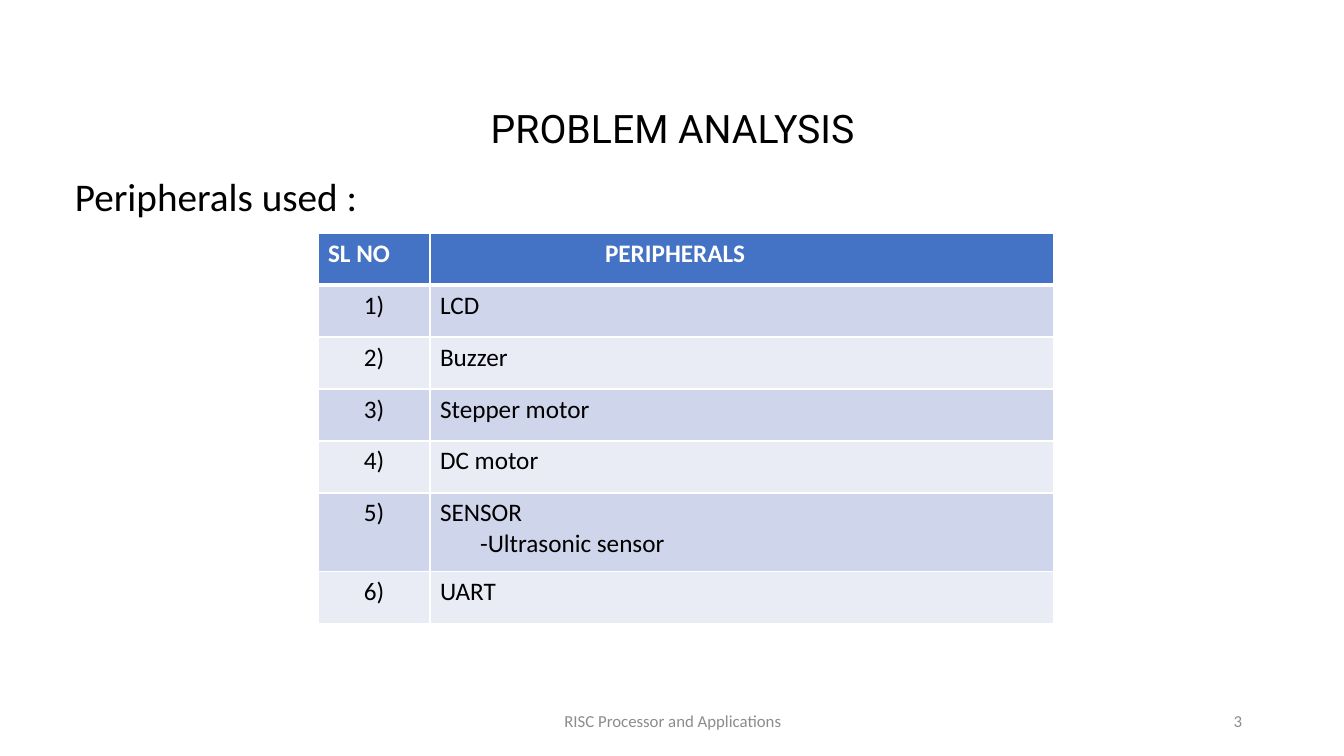
from lxml import etree
from pptx import Presentation
from pptx import util as u
from pptx.dml.color import RGBColor
from pptx.enum import text as t
from pptx.oxml.ns import qn

# Text, box (left, top, width, height) in px, format
TEXTS = [
    ("PROBLEM ANALYSIS", (93, 58, 1159, 146),
     dict(size=28, font="Roboto", line=0.9)),
    ("RISC Processor and Applications", (446, 701, 454, 40),
     dict(size=12, color="grey")),
    ("3", (950, 701, 302, 40), dict(size=12, color="grey", align="right")),
    ("Peripherals used :", (-21, 167, 474, 57), dict(size=28, anchor="top")),
]
HEADS = ("SL NO", "PERIPHERALS")
ITEMS = ["LCD", "Buzzer", "Stepper motor", "DC motor",
         ("SENSOR", "-Ultrasonic sensor"), "UART"]

COLORS = dict(black="000000", white="FFFFFF", grey="8C8C8C",
              head="4472C4", odd="CFD5EA", even="E9EBF5")
ALIGN = dict(left=t.PP_ALIGN.LEFT, center=t.PP_ALIGN.CENTER,
             right=t.PP_ALIGN.RIGHT)
ANCHOR = dict(top=t.MSO_ANCHOR.TOP, middle=t.MSO_ANCHOR.MIDDLE)

LEFT, TOP = 318, 233
COLS = (112, 624)
ROW, TALL = 52, 79
HEAD_IN, SUB_IN = 165, 40


def px(n):
    return u.Emu(round(n * 914400 / 100.8))


def rgb(name):
    return RGBColor.from_string(COLORS[name])


def write(frame, words, size=18, font="Calibri", color="black", bold=False,
          align="center", line=None, indents=(0,)):
    """Fill a text frame; a tuple of words gives one paragraph each."""
    lines = (words,) if isinstance(words, str) else words
    for i, (words, indent) in enumerate(zip(lines, indents)):
        para = frame.add_paragraph() if i else frame.paragraphs[0]
        para.alignment = ALIGN[align]
        if line:
            para.line_spacing = line
        if indent:
            para._p.get_or_add_pPr().set("marL", str(px(indent)))
        run = para.add_run()
        run.text = words
        run.font.size, run.font.name, run.font.bold = u.Pt(size), font, bold
        run.font.color.rgb = rgb(color)


def edge(cell, top, bottom):
    """Give a cell white borders, with widths in points."""
    props = cell._tc.get_or_add_tcPr()
    for side, width in (("L", 1), ("R", 1), ("T", top), ("B", bottom)):
        ln = etree.SubElement(props, qn("a:ln" + side), w=str(u.Pt(width)))
        fill = etree.SubElement(ln, qn("a:solidFill"))
        etree.SubElement(fill, qn("a:srgbClr"), val=COLORS["white"])


def add_text(slide, words, box, anchor="middle", **form):
    frame = slide.shapes.add_textbox(*map(px, box)).text_frame
    frame.word_wrap = True
    frame.vertical_anchor = ANCHOR[anchor]
    write(frame, words, **form)


def add_list(slide):
    heights = [ROW] + [ROW if isinstance(i, str) else TALL for i in ITEMS]
    table = slide.shapes.add_table(
        len(heights), len(COLS), px(LEFT), px(TOP),
        px(sum(COLS)), px(sum(heights))).table
    for col, width in zip(table.columns, COLS):
        col.width = px(width)
    rows = [HEADS] + [(f"{n})", item) for n, item in enumerate(ITEMS, 1)]
    for r, (row, height) in enumerate(zip(rows, heights)):
        table.rows[r].height = px(height)
        shade = "head" if r == 0 else "odd" if r % 2 else "even"
        for c, words in enumerate(row):
            cell = table.cell(r, c)
            edge(cell, 3 if r == 1 else 1, 3 if r == 0 else 1)
            cell.fill.solid()
            cell.fill.fore_color.rgb = rgb(shade)
            if r == 0:
                form = dict(color="white", bold=True, align="left",
                            indents=(HEAD_IN * c,))
            else:
                form = dict(align="left" if c else "center",
                            indents=(0, SUB_IN))
            write(cell.text_frame, words, **form)


def main():
    deck = Presentation()
    deck.slide_width, deck.slide_height = px(1344), px(756)
    slide = deck.slides.add_slide(deck.slide_layouts[6])
    for words, box, form in TEXTS:
        add_text(slide, words, box, **form)
    add_list(slide)
    deck.save("out.pptx")


if __name__ == "__main__":
    main()
